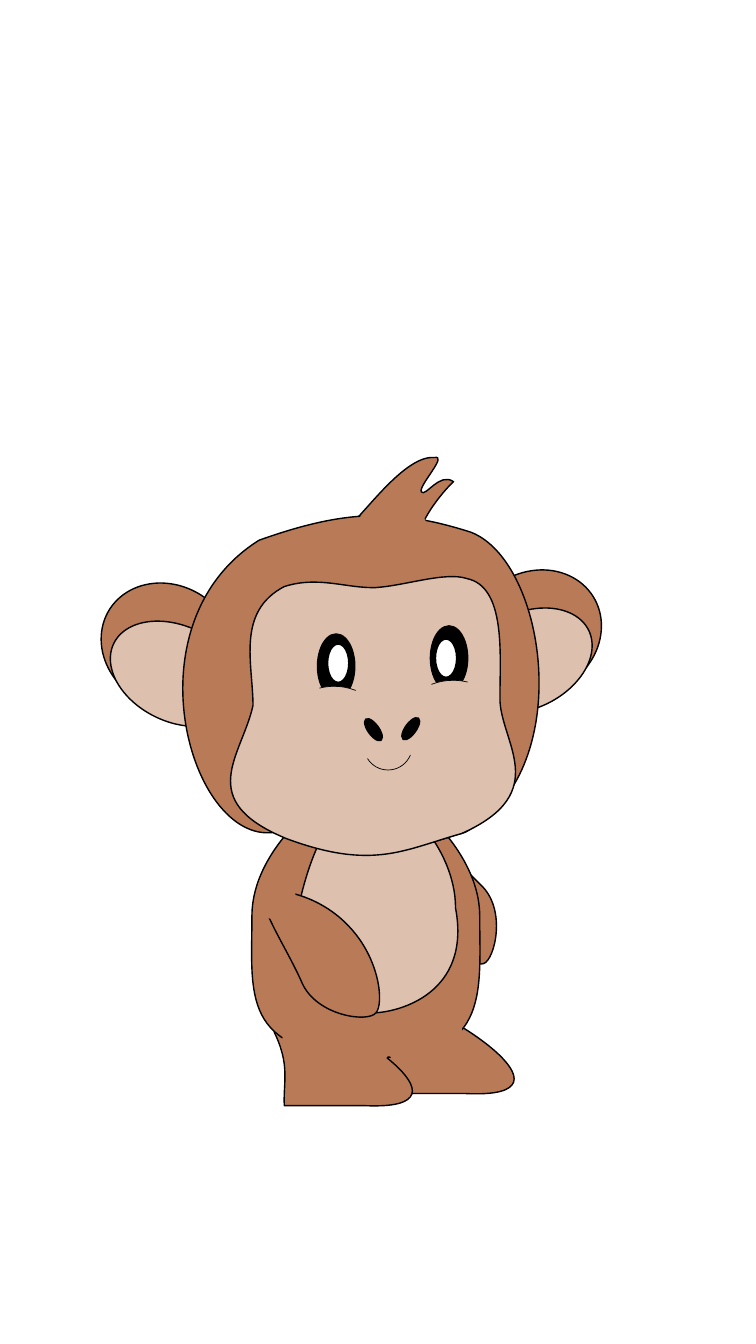
from collections import namedtuple

from lxml import etree
from pptx import Presentation
from pptx import util as u
from pptx.dml.color import RGBColor
from pptx.enum import shapes
from pptx.oxml import ns

BROWN, BEIGE, BLACK, WHITE = "B97A57", "DDC0AE", "000000", "FFFFFF"
OVAL, ARC = shapes.MSO_SHAPE.OVAL, shapes.MSO_SHAPE.ARC
CURVE_STEPS = 24

Box = namedtuple("Box", "left top unit")

BACK_ARM = [(3.77, 4.28), (3.51, 4.03, 3.18, 3.59, 3.07, 3.63),
            (2.95, 3.67, 2.88, 4.13, 3.08, 4.53),
            (3.28, 4.92, 3.69, 5.1, 3.8, 5.06),
            (3.91, 5.02, 4.03, 4.52, 3.77, 4.28)]
FOOT = [(3.12, 5.49), (2.73, 5.62), (2.89, 5.95, 2.82, 6.11, 2.83, 6.35),
        (3.62, 6.35), (4.87, 6.41, 3.31, 5.45, 3.12, 5.49)]
TORSO = [(1.5, 4.59), (1.5, 3.82, 2.45, 3.21, 2.63, 3.19),
         (2.8, 3.18, 3.76, 3.82, 3.76, 4.59),
         (3.76, 5.37, 3.87, 6.03, 2.63, 5.99),
         (1.38, 5.95, 1.5, 5.37, 1.5, 4.59)]
BELLY = [(1.96, 4.51), (2.12, 3.75, 2.43, 3.35, 2.69, 3.35),
         (2.95, 3.35, 3.52, 3.9, 3.52, 4.51),
         (3.68, 5.36, 2.95, 5.55, 2.69, 5.55),
         (2.43, 5.55, 1.79, 5.27, 1.96, 4.51)]
BACK_HIP = [(3.57, 5.66), (3.51, 5.5, 3.37, 5.45, 3.1, 5.52),
            (2.83, 5.59, 2.79, 5.78, 2.85, 5.94),
            (2.91, 6.09, 3.11, 6.15, 3.31, 6.07),
            (3.51, 6, 3.63, 5.81, 3.57, 5.66)]
FRONT_HIP = [(2.33, 5.58), (2.62, 5.6, 2.79, 5.69, 2.84, 5.91),
             (2.88, 6.12, 2.59, 6.19, 2.3, 6.17),
             (2.01, 6.16, 1.78, 6.01, 1.79, 5.85),
             (1.8, 5.69, 2.04, 5.57, 2.33, 5.58)]
FRONT_ARM = [(2, 5.26), (1.86, 4.93, 1.55, 4.48, 1.63, 4.38),
             (1.71, 4.29, 2.17, 4.37, 2.47, 4.7),
             (2.77, 5.02, 2.81, 5.46, 2.73, 5.55),
             (2.65, 5.65, 2.15, 5.58, 2, 5.26)]
SHOULDER = [(1.7, 4.13), (1.6, 4.15, 1.55, 4.23, 1.55, 4.41),
            (1.56, 4.59, 1.68, 4.64, 1.78, 4.62),
            (1.88, 4.61, 1.95, 4.48, 1.93, 4.35),
            (1.91, 4.21, 1.81, 4.12, 1.7, 4.13)]
HAIR = [(2.4, 0.76), (2.51, 0.76, 2.98, 0.01, 3.31, 0.04),
        (3.45, 0.01, 3.15, 0.32, 3.18, 0.38),
        (3.22, 0.44, 3.36, 0.18, 3.5, 0.28),
        (3.42, 0.35, 3.21, 0.6, 3.17, 0.77),
        (3.35, 1.33), (2.4, 1.33), (2.4, 0.76)]
SKULL = [(1.57, 0.86), (2.41, 0.56, 2.92, 0.54, 3.67, 0.78),
         (4.43, 1.07, 4.73, 3.17, 3.61, 3.76),
         (2.98, 3.94, 2.66, 4.11, 1.71, 3.76),
         (0.88, 3.86, 0.26, 1.68, 1.57, 0.86)]
FACE = [(1.82, 1.32), (2.16, 1.21, 2.44, 1.34, 2.73, 1.33),
        (3.02, 1.31, 3.42, 1.17, 3.63, 1.24),
        (4.02, 1.32, 3.96, 1.99, 3.96, 2.42),
        (3.95, 2.85, 4.5, 3.36, 3.58, 3.77),
        (3.01, 3.93, 2.7, 4.14, 1.84, 3.82),
        (0.92, 3.44, 1.4, 3, 1.51, 2.5),
        (1.51, 2.09, 1.34, 1.57, 1.82, 1.32)]
HAIR_ROOT = [(2.5, 0.76), (2.59, 0.54, 2.74, 0.45, 3, 0.51),
             (3.27, 0.56, 3.29, 0.81, 3.2, 1.03),
             (3.12, 1.24, 2.9, 1.35, 2.7, 1.28),
             (2.51, 1.2, 2.42, 0.97, 2.5, 0.76)]


def color(value):
    return RGBColor.from_string(value)


def style(shape, fill, line=BLACK, width=1):
    shape.shadow.inherit = False
    for part, value in ((shape.fill, fill), (shape.line.fill, line)):
        if value:
            part.solid()
            part.fore_color.rgb = color(value)
        else:
            part.background()
    if line:
        shape.line.width = u.Pt(width)
    return shape


def flatten(segments):
    points = [segments[0][0]]
    for segment in segments[1:]:
        if len(segment) == 1:
            points.append(segment[0])
            continue
        anchors = [points[-1], *segment]
        for step in range(1, CURVE_STEPS + 1):
            t = step / CURVE_STEPS
            weights = ((1 - t) ** 3, 3 * t * (1 - t) ** 2, 3 * t * t * (1 - t), t ** 3)
            points.append(tuple(round(sum(w * anchor[axis] for w, anchor in zip(weights, anchors)))
                                for axis in (0, 1)))
    return points


def set_curves(shape, segments):
    outline = shape.element.find(".//" + ns.qn("a:path"))
    for child in list(outline):
        outline.remove(child)
    for index, segment in enumerate(segments):
        tag = "a:moveTo" if index == 0 else "a:lnTo" if len(segment) == 1 else "a:cubicBezTo"
        command = etree.SubElement(outline, ns.qn(tag))
        for x, y in segment:
            etree.SubElement(command, ns.qn("a:pt"), x=str(x - shape.left), y=str(y - shape.top))
    etree.SubElement(outline, ns.qn("a:close"))


def draw_outline(group, box, outline, fill=BROWN, line=BLACK, shift=(0, 0)):
    segments = [[(u.Cm(box.left + (x + shift[0]) * box.unit),
                  u.Cm(box.top + (y + shift[1]) * box.unit))
                 for x, y in zip(values[::2], values[1::2])] for values in outline]
    points = flatten(segments)
    builder = group.shapes.build_freeform(*points[0], scale=1.0)
    builder.add_line_segments(points[1:], close=True)
    shape = builder.convert_to_shape()
    set_curves(shape, segments)
    style(shape, fill, line)


def draw_preset(group, box, kind, frame, fill, width=1, rotation=0):
    x, y, w, h = (value * box.unit for value in frame)
    shape = group.shapes.add_shape(kind, u.Cm(box.left + x), u.Cm(box.top + y), u.Cm(w), u.Cm(h))
    shape.rotation = rotation
    return style(shape, fill, width=width)


def draw_arc(group, box, frame, start, end, fill=None):
    arc = draw_preset(group, box, ARC, frame, fill, width=0.5)
    for index, degrees in enumerate((start, end)):
        arc.adjustments[index] = degrees * 0.6


def draw_body(group, box):
    draw_outline(group, box, BACK_ARM)
    for shift in ((0, 0), (-1.01, 0.12)):
        draw_outline(group, box, FOOT, shift=shift)
    draw_outline(group, box, TORSO)
    draw_outline(group, box, BELLY, BEIGE)
    for hip in (BACK_HIP, FRONT_HIP):
        draw_outline(group, box, hip, line=None)
    draw_outline(group, box, FRONT_ARM)
    draw_outline(group, box, SHOULDER, line=None)


def draw_head(group, box):
    draw_outline(group, box, HAIR)
    for outer, inner, top, turn in ((-0.02, 0.06, 1.31, 1), (3.61, 3.53, 1.18, -1)):
        draw_preset(group, box, OVAL, (outer, top, 1.38, 1.21), BROWN, rotation=32.2 * turn)
        draw_preset(group, box, OVAL, (inner, top + 0.4, 1.38, 0.95), BEIGE, rotation=25.7 * turn)
    draw_outline(group, box, SKULL)
    draw_outline(group, box, FACE, BEIGE)
    draw_outline(group, box, HAIR_ROOT, line=None)


def draw_features(group, box):
    for x, y, pupil_x, pupil_y in ((3.27, 1.71, 3.32, 1.84), (2.15, 1.79, 2.25, 1.89)):
        draw_preset(group, box, OVAL, (x, y, 0.37, 0.64), BLACK)
        draw_preset(group, box, OVAL, (pupil_x, pupil_y, 0.21, 0.38), WHITE)
    for x, y, rotation in ((2.65, 2.61, -35.9), (3.02, 2.6, 35.9)):
        draw_preset(group, box, OVAL, (x, y, 0.11, 0.26), BLACK, rotation=rotation)
    for x, y, start in ((2.91, 2.25, 248.5), (1.73, 2.31, 255.6)):
        draw_arc(group, box, (x, y, 1.17, 1.17), start, start + 35.9, BEIGE)
    draw_arc(group, box, (2.61, 2.66, 0.48, 0.48), 22.2, 148)


def main():
    deck = Presentation()
    deck.slide_width, deck.slide_height = u.Cm(19.05), u.Cm(33.87)
    page = deck.slides.add_slide(deck.slide_layouts[6])
    backdrop = page.shapes.add_shape(shapes.MSO_SHAPE.RECTANGLE, 0, u.Cm(11), u.Cm(19.05), u.Cm(22.86))
    style(backdrop, WHITE, WHITE)
    monkey = page.shapes.add_group_shape()
    for draw in (draw_body, draw_head, draw_features):
        draw(monkey, Box(2.54, 11.43, 2.54))
    deck.save("out.pptx")


if __name__ == "__main__":
    main()
